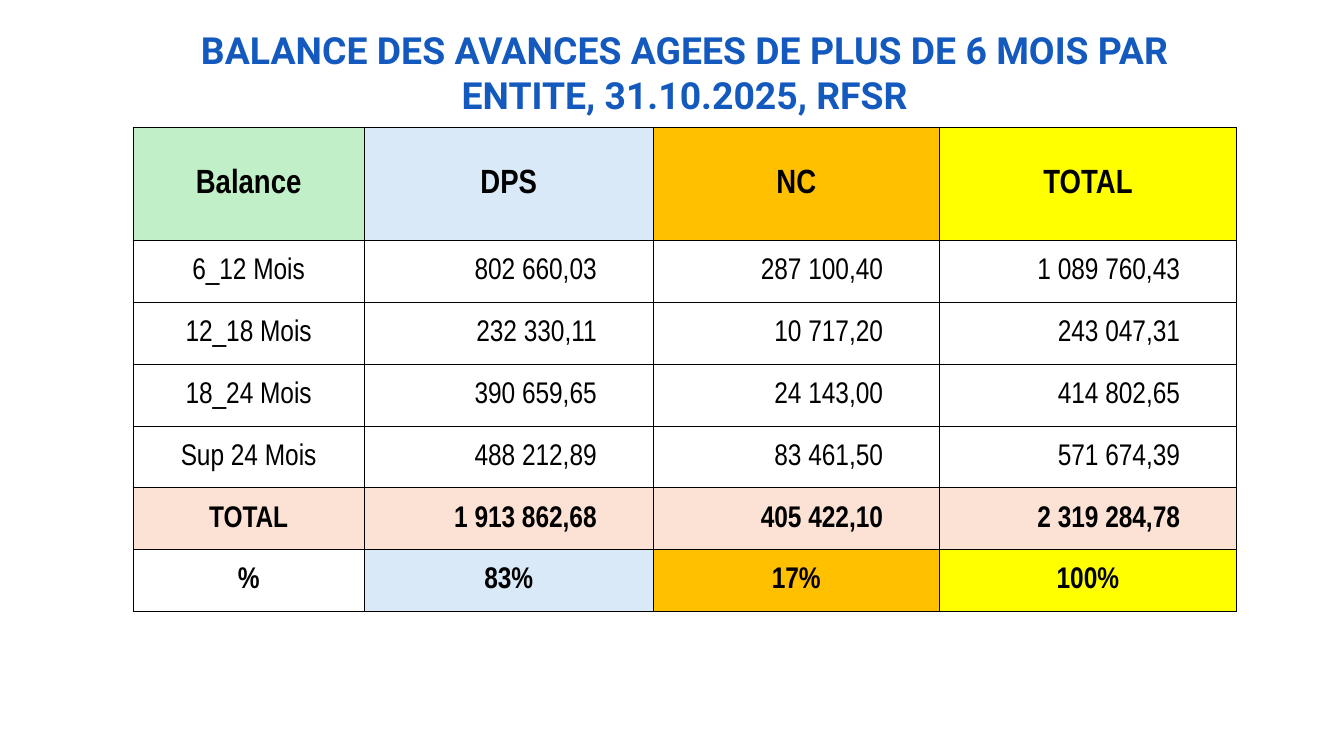
from dataclasses import dataclass

from lxml.etree import SubElement
from pptx import Presentation
from pptx.dml.color import RGBColor
from pptx.enum.text import MSO_ANCHOR, PP_ALIGN
from pptx.oxml.ns import qn
from pptx.util import Inches, Pt


@dataclass(frozen=True)
class Theme:
    """Colours, fonts and type sizes of the slide."""
    title_font: str = "Roboto"
    table_font: str = "Arial Narrow"
    title_size: int = 20
    header_size: int = 18
    body_size: int = 16
    border_width: float = 0.5
    title: str = "145ABE"
    ink: str = "000000"
    green: str = "C1F0C8"
    blue: str = "DAE9F8"
    orange: str = "FFC000"
    yellow: str = "FFFF00"
    peach: str = "FBE2D5"


THEME = Theme()
SLIDE_WIDTH = 10
SLIDE_HEIGHT = SLIDE_WIDTH * 9 / 16
TITLE = "BALANCE DES AVANCES AGEES DE PLUS DE 6 MOIS PAR ENTITE, 31.10.2025, RFSR"
COLUMN_WIDTHS = (1.72, 2.15, 2.13, 2.21)
HEADER_HEIGHT = 0.84
AMOUNT_MARGIN = 0.42
CELL_MARGIN = 0.01
ENTITY_FILLS = (THEME.blue, THEME.orange, THEME.yellow)
BALANCE_ROWS = (
    ("Balance", "DPS", "NC", "TOTAL"),
    ("6_12 Mois", "802 660,03", "287 100,40", "1 089 760,43"),
    ("12_18 Mois", "232 330,11", "10 717,20", "243 047,31"),
    ("18_24 Mois", "390 659,65", "24 143,00", "414 802,65"),
    ("Sup 24 Mois", "488 212,89", "83 461,50", "571 674,39"),
    ("TOTAL", "1 913 862,68", "405 422,10", "2 319 284,78"),
    ("%", "83%", "17%", "100%"),
)
ROW_FILLS = {
    "Balance": (THEME.green, *ENTITY_FILLS),
    "TOTAL": (THEME.peach,) * len(COLUMN_WIDTHS),
    "%": (None, *ENTITY_FILLS),
}


def write_text(paragraph, text, font_name, size, color, bold, alignment):
    """Add one formatted run to a paragraph."""
    paragraph.alignment = alignment
    run = paragraph.add_run()
    run.text = text
    run.font.name = font_name
    run.font.size = Pt(size)
    run.font.bold = bold
    run.font.color.rgb = RGBColor.from_string(color)


def draw_borders(cell):
    """Draw a thin line on the four sides of a cell."""
    properties = cell._tc.get_or_add_tcPr()
    for side in ("a:lnL", "a:lnR", "a:lnT", "a:lnB"):
        line = SubElement(properties, qn(side), w=str(Pt(THEME.border_width)))
        fill = SubElement(line, qn("a:solidFill"))
        SubElement(fill, qn("a:srgbClr"), val=THEME.ink)


def fill_cell(cell, text, size, bold, fill, is_amount):
    """Format a table cell and write its text."""
    draw_borders(cell)
    if fill:
        cell.fill.solid()
        cell.fill.fore_color.rgb = RGBColor.from_string(fill)
    else:
        cell.fill.background()
    cell.vertical_anchor = MSO_ANCHOR.MIDDLE
    cell.margin_left = cell.margin_top = Inches(CELL_MARGIN)
    cell.margin_right = Inches(AMOUNT_MARGIN if is_amount else CELL_MARGIN)
    cell.margin_bottom = 0
    alignment = PP_ALIGN.RIGHT if is_amount else PP_ALIGN.CENTER
    write_text(cell.text_frame.paragraphs[0], text, THEME.table_font, size,
               THEME.ink, bold, alignment)


def add_title(slide, left, top, width, height):
    """Place the centred title in the given box."""
    shape = slide.shapes.add_textbox(Inches(left), Inches(top), Inches(width), Inches(height))
    frame = shape.text_frame
    frame.word_wrap = True
    frame.vertical_anchor = MSO_ANCHOR.MIDDLE
    frame.margin_left = frame.margin_right = Inches(0.07)
    frame.margin_top = frame.margin_bottom = Inches(0.07)
    write_text(frame.paragraphs[0], TITLE, THEME.title_font, THEME.title_size,
               THEME.title, True, PP_ALIGN.CENTER)


def add_balance_table(slide, left, top, width, height):
    """Place the balance table in the given box."""
    shape = slide.shapes.add_table(len(BALANCE_ROWS), len(COLUMN_WIDTHS), Inches(left),
                                   Inches(top), Inches(width), Inches(height))
    table = shape.table
    for column, share in zip(table.columns, COLUMN_WIDTHS):
        column.width = Inches(width * share / sum(COLUMN_WIDTHS))
    body_height = (height - HEADER_HEIGHT) / (len(BALANCE_ROWS) - 1)
    for row_index, values in enumerate(BALANCE_ROWS):
        is_header = row_index == 0
        table.rows[row_index].height = Inches(HEADER_HEIGHT if is_header else body_height)
        size = THEME.header_size if is_header else THEME.body_size
        fills = ROW_FILLS.get(values[0], (None,) * len(values))
        for column_index, (text, fill) in enumerate(zip(values, fills)):
            is_amount = column_index > 0 and "," in text
            fill_cell(table.cell(row_index, column_index), text, size,
                      values[0] in ROW_FILLS, fill, is_amount)


def main():
    """Build the slide and save it."""
    presentation = Presentation()
    presentation.slide_width = Inches(SLIDE_WIDTH)
    presentation.slide_height = Inches(SLIDE_HEIGHT)
    slide = presentation.slides.add_slide(presentation.slide_layouts[6])
    left, width = 0.99, 8.21
    add_title(slide, left, 0.19, width, 0.69)
    add_balance_table(slide, left, 0.95, width, 3.6)
    presentation.save("out.pptx")


if __name__ == "__main__":
    main()
